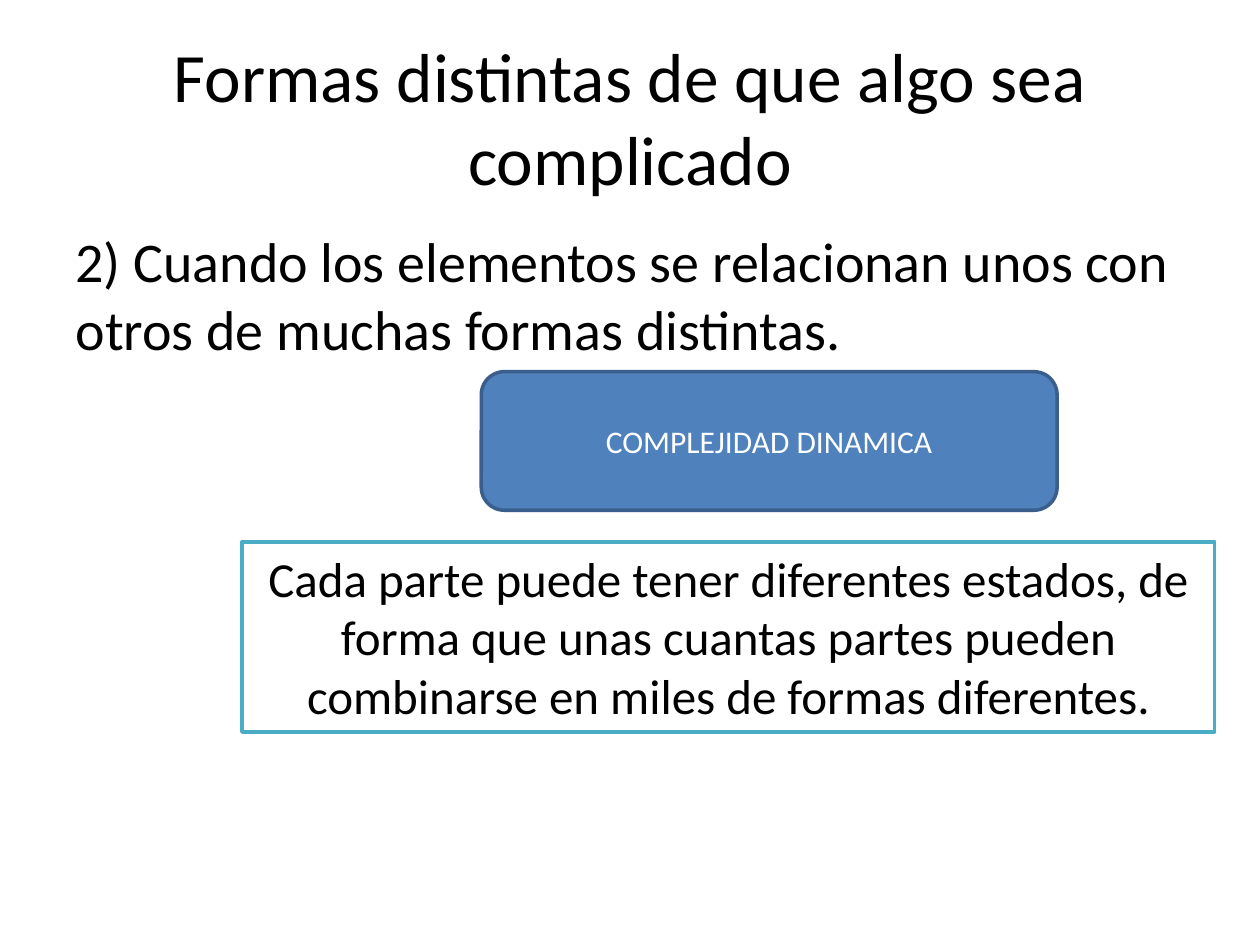
"""Build the slide on dynamic complexity."""
from dataclasses import dataclass

from pptx import Presentation
from pptx.dml.color import RGBColor
from pptx.enum import shapes, text
from pptx.util import Inches, Pt

BLACK = RGBColor(0x00, 0x00, 0x00)
WHITE = RGBColor(0xFF, 0xFF, 0xFF)
BLUE = RGBColor(0x4F, 0x81, 0xBD)
DARK_BLUE = RGBColor(0x3A, 0x5F, 0x8C)
TEAL = RGBColor(0x4B, 0xAC, 0xC6)
FONT = "Calibri"


@dataclass(frozen=True)
class Box:
    wording: str
    left: float
    top: float
    width: float
    height: float
    preset: shapes.MSO_SHAPE
    fill: RGBColor
    line: RGBColor
    size: float
    color: RGBColor
    anchor: text.MSO_ANCHOR
    fit: text.MSO_AUTO_SIZE


BOXES = (
    Box("COMPLEJIDAD DINAMICA", 3.82, 2.95, 4.57, 1.1,
        shapes.MSO_SHAPE.ROUNDED_RECTANGLE, BLUE, DARK_BLUE, 18, WHITE,
        text.MSO_ANCHOR.MIDDLE, text.MSO_AUTO_SIZE.NONE),
    Box("Cada parte puede tener diferentes estados, de forma que unas cuantas "
        "partes pueden combinarse en miles de formas diferentes.",
        1.92, 4.3, 7.72, 1.51,
        shapes.MSO_SHAPE.RECTANGLE, WHITE, TEAL, 28, BLACK,
        text.MSO_ANCHOR.TOP, text.MSO_AUTO_SIZE.SHAPE_TO_FIT_TEXT),
)


def write(shape, wording: str, size: float, color: RGBColor,
          align: text.PP_ALIGN, anchor: text.MSO_ANCHOR,
          fit: text.MSO_AUTO_SIZE = text.MSO_AUTO_SIZE.NONE) -> None:
    frame = shape.text_frame
    frame.text = wording
    frame.word_wrap = True
    frame.auto_size = fit
    frame.vertical_anchor = anchor
    paragraph = frame.paragraphs[0]
    paragraph.alignment = align
    font = paragraph.runs[0].font
    font.name, font.size = FONT, Pt(size)
    font.color.rgb = color


def place(shape, left: float, top: float, width: float, height: float) -> None:
    shape.left, shape.top = Inches(left), Inches(top)
    shape.width, shape.height = Inches(width), Inches(height)


def draw_box(slide, box: Box) -> None:
    shape = slide.shapes.add_shape(
        box.preset, Inches(box.left), Inches(box.top),
        Inches(box.width), Inches(box.height))
    shape.shadow.inherit = False
    shape.fill.solid()
    shape.fill.fore_color.rgb = box.fill
    shape.line.color.rgb = box.line
    shape.line.width = Pt(2)
    write(shape, box.wording, box.size, box.color,
          text.PP_ALIGN.CENTER, box.anchor, box.fit)


def remove_bullet(paragraph) -> None:
    properties = paragraph._p.get_or_add_pPr()
    properties.set("marL", "0")
    properties.set("indent", "0")
    properties.append(properties.makeelement(
        "{http://schemas.openxmlformats.org/drawingml/2006/main}buNone", {}))


def main() -> None:
    presentation = Presentation()
    presentation.slide_width, presentation.slide_height = Inches(10), Inches(7.5)
    slide = presentation.slides.add_slide(presentation.slide_layouts[1])

    title = slide.shapes.title
    place(title, 0.5, 0.3, 9, 1.25)
    write(title, "Formas distintas de que algo sea complicado", 39.6, BLACK,
          text.PP_ALIGN.CENTER, text.MSO_ANCHOR.MIDDLE)

    statement = slide.placeholders[1]
    place(statement, 0.5, 1.75, 9, 4.95)
    write(statement, "2) Cuando los elementos se relacionan unos con otros "
          "de muchas formas distintas.", 32, BLACK,
          text.PP_ALIGN.LEFT, text.MSO_ANCHOR.TOP)
    remove_bullet(statement.text_frame.paragraphs[0])

    for box in BOXES:
        draw_box(slide, box)
    presentation.save("out.pptx")


if __name__ == "__main__":
    main()
